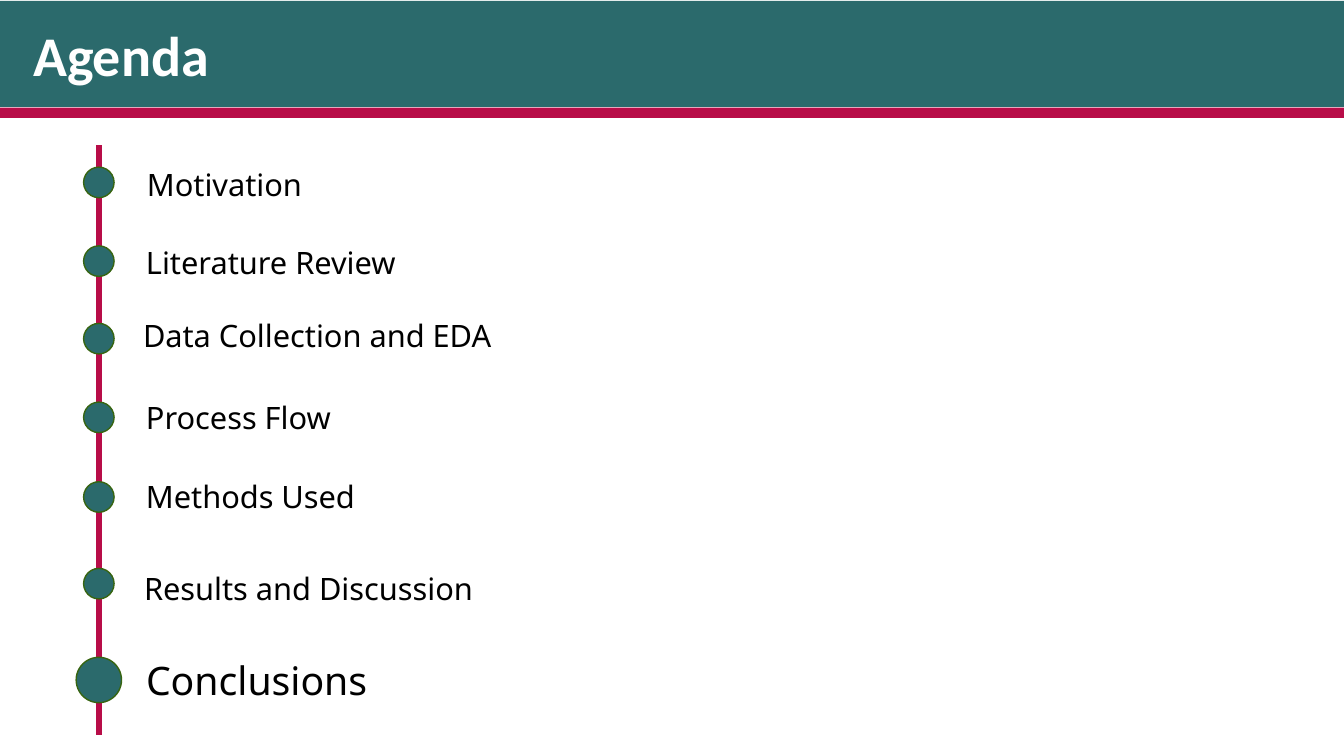
import pptx
import pptx.util
import pptx.dml.color
import pptx.enum.shapes
import pptx.enum.text
from dataclasses import dataclass
from pptx.oxml.ns import qn
from lxml import etree

Pt = pptx.util.Pt
Shape = pptx.enum.shapes.MSO_SHAPE
Fit = pptx.enum.text.MSO_AUTO_SIZE


@dataclass(frozen=True)
class Theme:
    teal: str = "2B6A6C"
    red: str = "B80D48"
    green: str = "376511"
    white: str = "FFFFFF"
    black: str = "000000"
    head: str = "Calibri"
    body: str = "Noto Sans"
    title: int = 40
    item: int = 22
    focus: int = 28


@dataclass(frozen=True)
class Box:
    x: float
    y: float
    w: float
    h: float

    def at(self, x, y, w, h):
        """Return a box placed relative to this one."""
        return Box(self.x + x, self.y + y, w, h)

    def span(self):
        return Pt(self.x), Pt(self.y), Pt(self.w), Pt(self.h)


THEME = Theme()
# Label, dot centre, label left, label top, label width
ITEMS = [
    ("Motivation", 26.6, 27.3, 10.8, 126.7),
    ("Literature Review", 82.8, 26.6, 66.9, 196.6),
    ("Data Collection and EDA", 138.2, 24.5, 118.8, 266.4),
    ("Process Flow", 194.4, 26.6, 177.8, 148.3),
    ("Methods Used", 251.3, 26.6, 234, 165.6),
    ("Results and Discussion", 313.2, 25.2, 299.5, 252),
    ("Conclusions", 382, 26.6, 361.4, 174.2),
]


def tint(code):
    return pptx.dml.color.RGBColor.from_string(code)


def draw(slide, kind, box, fill, edge=None):
    shape = slide.shapes.add_shape(kind, *box.span())
    shape.shadow.inherit = False
    shape.fill.solid()
    shape.fill.fore_color.rgb = tint(fill)
    if edge:
        shape.line.color.rgb = tint(edge)
        shape.line.width = Pt(1)
    else:
        shape.line.fill.background()


def write(slide, box, text, face, size, color, bold=False, wrap=False):
    frame = slide.shapes.add_textbox(*box.span()).text_frame
    frame.word_wrap = wrap
    frame.auto_size = Fit.SHAPE_TO_FIT_TEXT
    run = frame.paragraphs[0].add_run()
    run.text = text
    run.font.name = face
    run.font.size = Pt(size)
    run.font.bold = bold
    run.font.color.rgb = tint(color)


def header(slide, box):
    draw(slide, Shape.RECTANGLE, box.at(0, 0.7, box.w, 75.6), THEME.teal)
    draw(slide, Shape.RECTANGLE, box.at(0, 77, box.w, 7.2), THEME.red)
    write(slide, box.at(16.6, 10.8, 561.6, 55.4), "Agenda", THEME.head,
          THEME.title, THEME.white, bold=True, wrap=True)


def rail(slide, box):
    """Draw the vertical line down the left edge of the box."""
    x = Pt(box.x)
    line = slide.shapes.add_connector(
        pptx.enum.shapes.MSO_CONNECTOR.STRAIGHT,
        x, Pt(box.y), x, Pt(box.y + box.h))
    line.line.color.rgb = tint(THEME.red)
    line.line.width = Pt(4.5)
    etree.SubElement(line._element.spPr, qn("a:effectLst"))


def agenda(slide, box):
    rail(slide, box)
    for label, mid, left, top, width in ITEMS:
        last = label == ITEMS[-1][0]
        dot, size, high = (32.4, THEME.focus, 41) if last else (21.8, THEME.item, 33.8)
        draw(slide, Shape.OVAL, box.at(-dot / 2, mid - dot / 2, dot, dot),
             THEME.teal, THEME.green)
        write(slide, box.at(left, top, width, high), label, THEME.body,
              size, THEME.black)


def main():
    deck = pptx.Presentation()
    deck.slide_width, deck.slide_height = Pt(960), Pt(540)
    slide = deck.slides.add_slide(deck.slide_layouts[6])
    header(slide, Box(0, 0, 960, 84.2))
    agenda(slide, Box(70.6, 103.7, 300, 421.2))
    deck.save("out.pptx")


if __name__ == "__main__":
    main()
